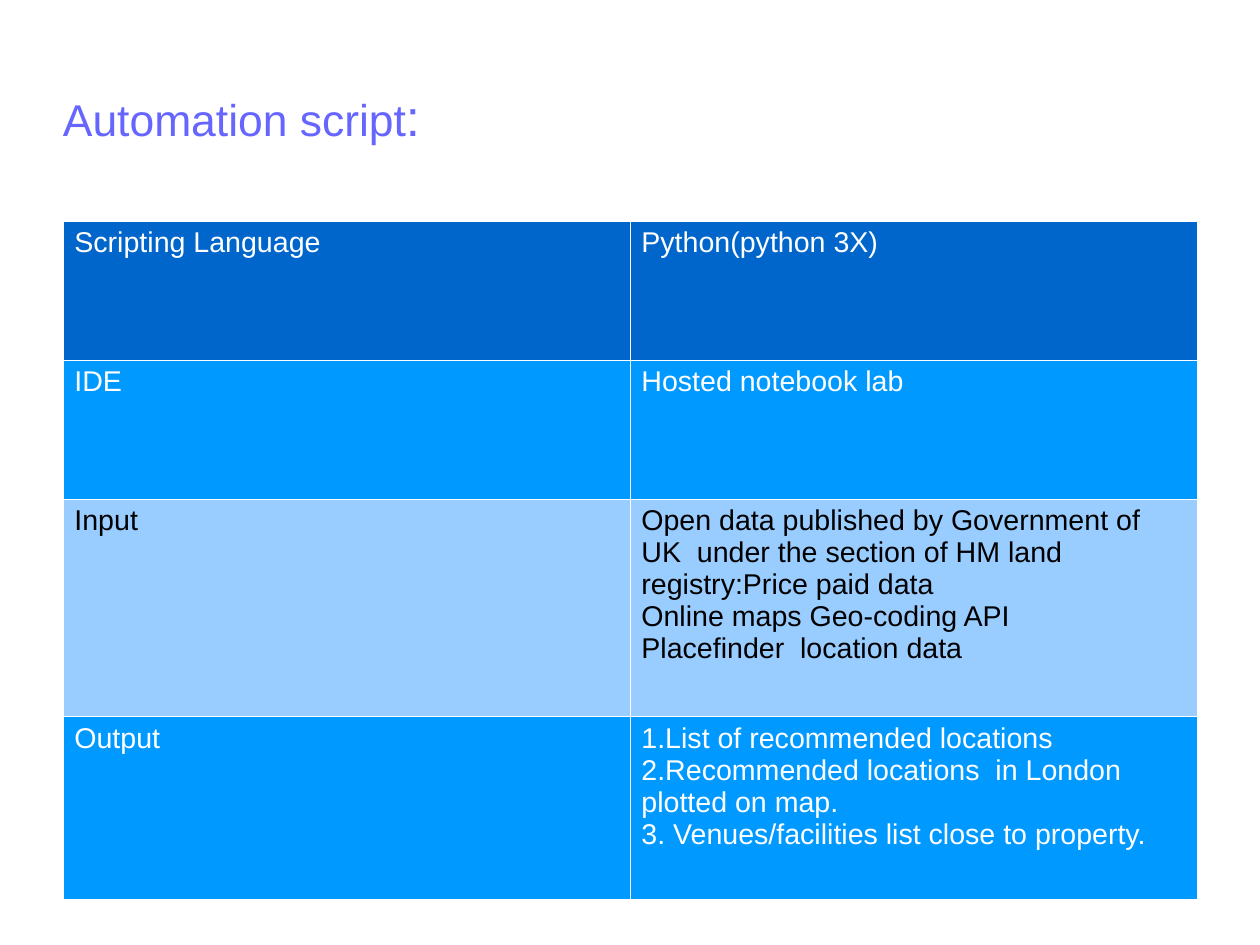
from lxml import etree
from pptx import Presentation
from pptx import util as u
from pptx.dml import color
from pptx.enum import text
from pptx.oxml import ns

LEFT, WIDTH = 1.4, 25.2
HEIGHTS = [3.09, 3.09, 4.83, 4.06]
ROWS = [
    ("0066CC", "FFFFFF", ["Scripting Language"], ["Python(python 3X)"]),
    ("0099FF", "FFFFFF", ["IDE"], ["Hosted notebook lab"]),
    ("99CCFF", "000000", ["Input"], [
        "Open data published by Government of UK  under the section of "
        "HM land registry:Price paid data",
        "Online maps Geo-coding API",
        "Placefinder  location data"]),
    ("0099FF", "FFFFFF", ["Output"], [
        "1.List of recommended locations",
        "2.Recommended locations  in London plotted on map.",
        "3. Venues/facilities list close to property."]),
]


def rgb(code):
    """Turn a hex string into a colour."""
    return color.RGBColor.from_string(code)


def write(para, words, size=18, ink="FFFFFF", face="Arial"):
    """Add one formatted run to a paragraph."""
    run = para.add_run()
    run.text = words
    run.font.size = u.Pt(size)
    run.font.name = face
    run.font.color.rgb = rgb(ink)


def edge(cell, ink="FFFFFF", width=0.06):
    """Draw a thin line on all four sides of a cell."""
    props = cell._tc.get_or_add_tcPr()
    for side in "LRTB":
        line = etree.SubElement(props, ns.qn(f"a:ln{side}"), w=str(u.Pt(width)))
        fill = etree.SubElement(line, ns.qn("a:solidFill"))
        etree.SubElement(fill, ns.qn("a:srgbClr"), val=ink)


def fill_cell(cell, lines, back, ink):
    """Set the border, fill and paragraphs of a cell."""
    edge(cell)
    cell.fill.solid()
    cell.fill.fore_color.rgb = rgb(back)
    frame = cell.text_frame
    for i, words in enumerate(lines):
        para = frame.add_paragraph() if i else frame.paragraphs[0]
        write(para, words, ink=ink)


def add_title(slide):
    """Place the heading above the table."""
    box = slide.shapes.add_textbox(
        u.Cm(LEFT), u.Cm(0.84), u.Cm(WIDTH), u.Cm(3.5))
    frame = box.text_frame
    frame.word_wrap = True
    frame.vertical_anchor = text.MSO_ANCHOR.MIDDLE
    frame.margin_left = frame.margin_right = 0
    frame.margin_top = frame.margin_bottom = 0
    para = frame.paragraphs[0]
    write(para, "Automation script", size=28, ink="6666FF")
    write(para, ":", size=32, ink="6666FF")


def add_grid(slide):
    """Place the table of script details."""
    grid = slide.shapes.add_table(
        len(ROWS), 2, u.Cm(LEFT), u.Cm(4.91),
        u.Cm(WIDTH), u.Cm(sum(HEIGHTS))).table
    for row, high, (back, ink, *cells) in zip(grid.rows, HEIGHTS, ROWS):
        row.height = u.Cm(high)
        for cell, lines in zip(row.cells, cells):
            fill_cell(cell, lines, back, ink)


def main():
    """Build and save the slide."""
    deck = Presentation()
    deck.slide_width, deck.slide_height = u.Cm(28), u.Cm(21)
    slide = deck.slides.add_slide(deck.slide_layouts[6])
    add_title(slide)
    add_grid(slide)
    deck.save("out.pptx")


if __name__ == "__main__":
    main()
